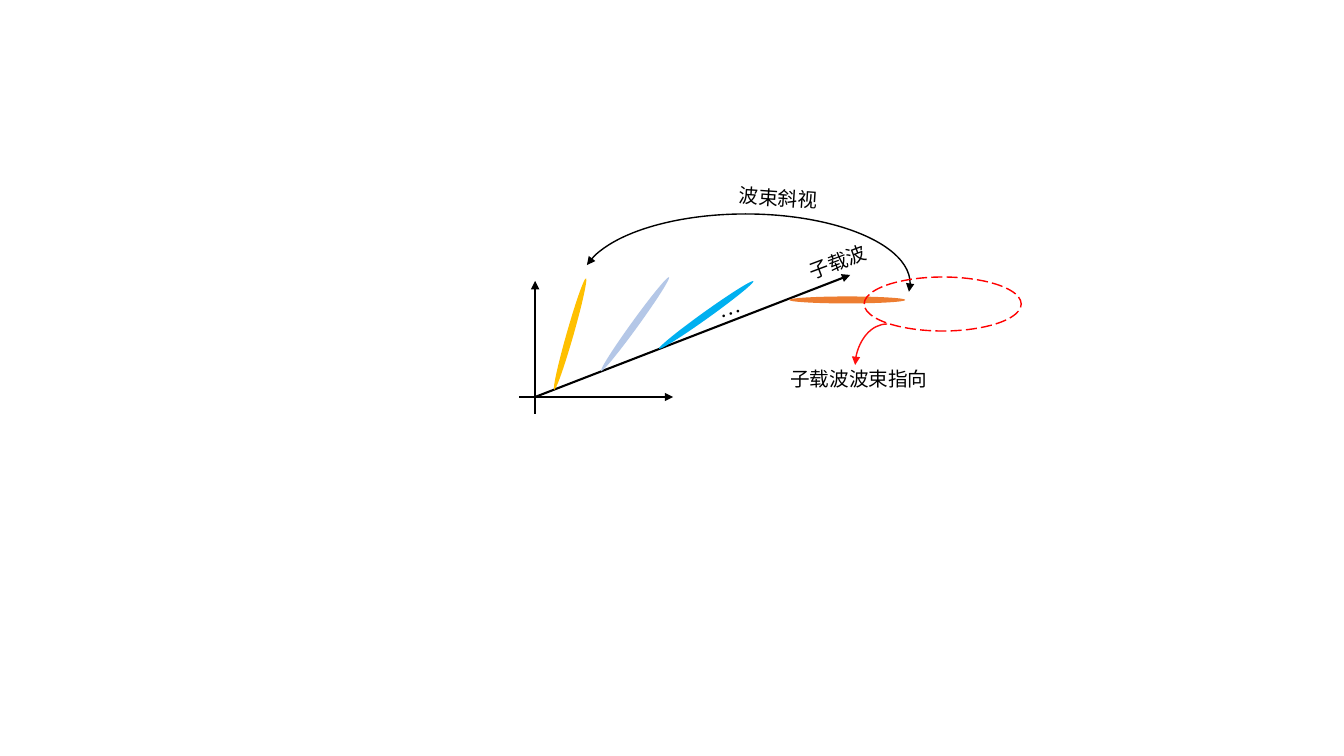
from lxml import etree
from pptx import Presentation
from pptx import util as u
from pptx.dml.color import RGBColor
from pptx.enum import dml, shapes
from pptx.oxml.ns import qn

PX_PER_INCH = 100.8
BLACK, RED = "000000", "FF0000"
CJK, LATIN = "Noto Sans CJK SC", "Times New Roman"

ORIGIN = (535, 397)
AXES = [
    ((519, ORIGIN[1]), (673, ORIGIN[1])),
    ((ORIGIN[0], 414), (ORIGIN[0], 281)),
    (ORIGIN, (850, 275)),
]
BEAM_LENGTH, BEAM_WIDTH = 116, 7
BEAMS = [
    ((570, 334), -74.1, "FFC000"),
    ((635, 324), -54.1, "B4C7E7"),
    ((706, 315), -35.6, "00B0F0"),
    ((847, 300), 0, "ED7D31"),
]
SQUINT_ARC = (581, 214, 329, 139)
SQUINT_ANGLES = (111.97, 1.748)
DIRECTION_RING = (864, 277, 157, 54)
DIRECTION_ARROW = ((887, 324), (855, 365))
LABELS = [
    ("子载波", (797, 238, 119, 34), -20.5, CJK, 14),
    ("…", (707, 288, 46, 37), -18.6, LATIN, 16),
    ("波束斜视", (729, 181, 102, 34), 3.9, CJK, 14),
    ("子载波波束指向", (780, 362, 176, 34), 0, CJK, 14),
]


def px(*lengths):
    return [u.Inches(length / PX_PER_INCH) for length in lengths]


def color(value):
    return RGBColor.from_string(value)


def style_line(item, value, width, *ends):
    item.line.color.rgb = color(value)
    item.line.width = u.Pt(width)
    outline = item.line._get_or_add_ln()
    for end in ends:
        etree.SubElement(outline, qn(f"a:{end}"), type="triangle")


def add_shape(page, kind, frame, rotation=0):
    shape = page.shapes.add_shape(kind, *px(*frame))
    shape.shadow.inherit = False
    shape.rotation = rotation
    shape.fill.background()
    return shape


def add_arrow(page, kind, start, end, value, width):
    arrow = page.shapes.add_connector(kind, *px(*start, *end))
    style_line(arrow, value, width, "tailEnd")
    etree.SubElement(arrow._element.spPr, qn("a:effectLst"))
    return arrow


def add_label(page, words, frame, rotation, face, size):
    box = page.shapes.add_textbox(*px(*frame))
    box.rotation = rotation
    box.text_frame.word_wrap = True
    para = box.text_frame.paragraphs[0]
    para.text = words
    para.font.size = u.Pt(size)
    para.font.color.rgb = color(BLACK)
    para.font.name = face
    defaults = para._p.pPr.find(qn("a:defRPr"))
    etree.SubElement(defaults, qn("a:ea"), typeface=face)


def main():
    deck = Presentation()
    deck.slide_width, deck.slide_height = u.Inches(13.33), u.Inches(7.5)
    page = deck.slides.add_slide(deck.slide_layouts[6])

    for start, end in AXES:
        add_arrow(page, shapes.MSO_CONNECTOR.STRAIGHT, start, end, BLACK, 1.5)

    for (x, y), rotation, value in BEAMS:
        frame = (x - BEAM_LENGTH / 2, y - BEAM_WIDTH / 2, BEAM_LENGTH, BEAM_WIDTH)
        beam = add_shape(page, shapes.MSO_SHAPE.OVAL, frame, rotation)
        beam.fill.solid()
        beam.fill.fore_color.rgb = color(value)
        beam.line.fill.background()

    arc = add_shape(page, shapes.MSO_SHAPE.ARC, SQUINT_ARC)
    arc.adjustments[0], arc.adjustments[1] = SQUINT_ANGLES
    style_line(arc, BLACK, 1, "headEnd", "tailEnd")

    for label in LABELS:
        add_label(page, *label)

    ring = add_shape(page, shapes.MSO_SHAPE.OVAL, DIRECTION_RING)
    style_line(ring, RED, 1)
    ring.line.dash_style = dml.MSO_LINE.LONG_DASH

    curve = add_arrow(page, shapes.MSO_CONNECTOR.CURVE, *DIRECTION_ARROW, "FF1010", 1)
    curve._element.spPr.find(qn("a:prstGeom")).set("prst", "curvedConnector2")

    deck.save("out.pptx")


if __name__ == "__main__":
    main()
